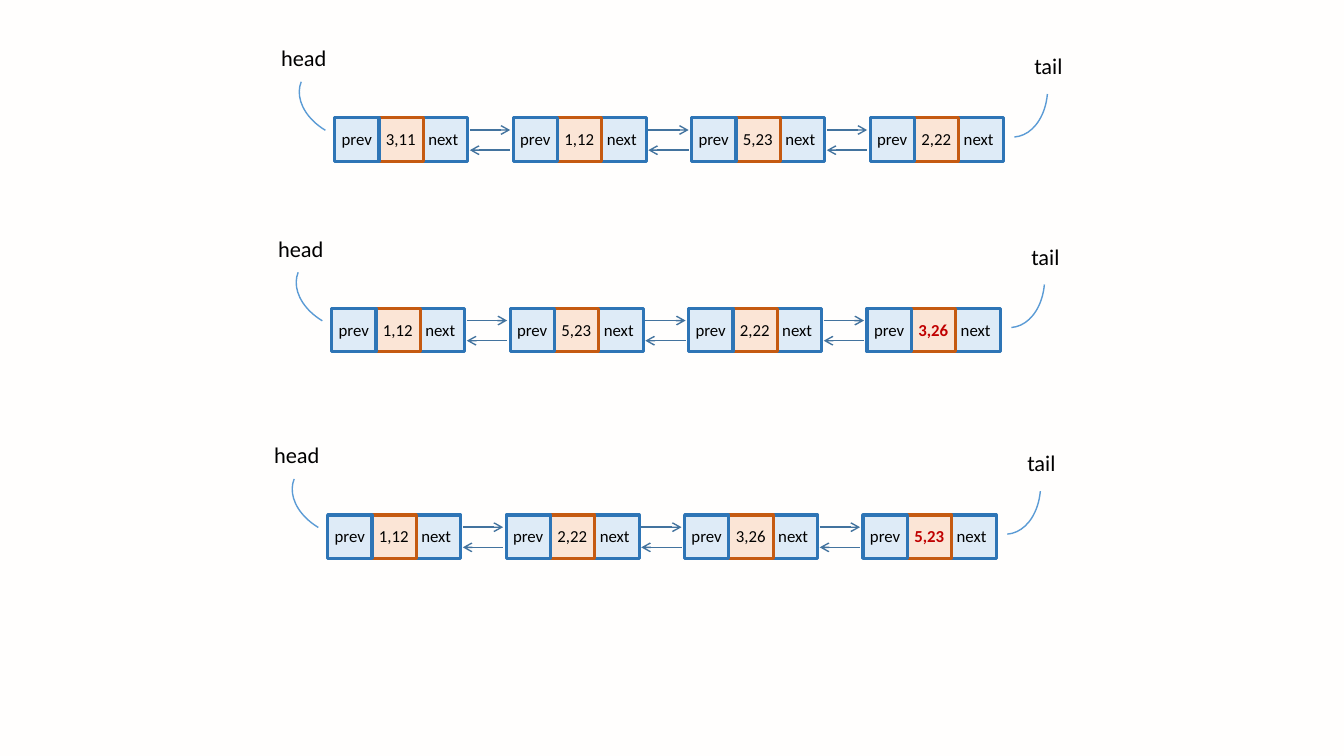
import dataclasses

import pptx
import pptx.dml.color
import pptx.enum.shapes
import pptx.enum.text
import pptx.oxml
import pptx.oxml.ns
import pptx.util

Inches = pptx.util.Inches
Pt = pptx.util.Pt
SHAPE = pptx.enum.shapes.MSO_SHAPE


@dataclasses.dataclass(frozen=True)
class Theme:
    font: str = "Calibri"
    paper: str = "FFFEFD"
    ink: str = "000000"
    mark: str = "C00000"
    link_fill: str = "DEEBF7"
    link_edge: str = "2E75B6"
    data_fill: str = "FBE5D6"
    data_edge: str = "C55A11"
    arrow: str = "43739E"
    curve: str = "5B9BD5"
    cell_size: float = 12
    end_size: float = 16
    edge: float = 2.25
    thin: float = 1


@dataclasses.dataclass(frozen=True)
class Chain:
    left: float
    top: float
    values: tuple[str, ...]
    fresh: str = ""


@dataclasses.dataclass(frozen=True)
class End:
    """Label and curve at one end of a chain, set off from its corner."""
    text: str
    left: float
    top: float
    width: float
    arc_left: float
    arc_top: float
    turn: float


THEME = Theme()
CELL = 0.44  # cell width
TALL = 0.43  # cell height
STEP = 1.77  # from node to node
CHAINS = (
    Chain(3.32, 1.17, ("3,11", "1,12", "5,23", "2,22")),
    Chain(3.29, 3.06, ("1,12", "5,23", "2,22", "3,26"), "3,26"),
    Chain(3.25, 5.11, ("1,12", "2,22", "3,26", "5,23"), "5,23"),
)
ENDS = (
    End("head", -0.63, -0.78, 0.69, -0.22, -0.68, 292),
    End("tail", 6.84, -0.7, 0.49, 6.34, -0.84, 176),
)


def shade(code: str) -> pptx.dml.color.RGBColor:
    return pptx.dml.color.RGBColor.from_string(code)


def add_text(slide, text: str, left: float, top: float, width: float,
             height: float, size: float, wrap: bool, fresh: bool = False) -> None:
    box = slide.shapes.add_textbox(*map(Inches, (left, top, width, height)))
    frame = box.text_frame
    frame.text = text
    frame.word_wrap = wrap
    frame.auto_size = pptx.enum.text.MSO_AUTO_SIZE.SHAPE_TO_FIT_TEXT
    font = frame.paragraphs[0].runs[0].font
    font.name = THEME.font
    font.size = Pt(size)
    font.color.rgb = shade(THEME.mark if fresh else THEME.ink)
    if fresh:
        font.bold = True


def add_cell(slide, left: float, top: float, fill: str, edge: str) -> None:
    cell = slide.shapes.add_shape(
        SHAPE.RECTANGLE, *map(Inches, (left, top, CELL, TALL)))
    cell.shadow.inherit = False
    cell.fill.solid()
    cell.fill.fore_color.rgb = shade(fill)
    cell.line.color.rgb = shade(edge)
    cell.line.width = Pt(THEME.edge)


def add_node(slide, left: float, top: float, value: str, fresh: bool) -> None:
    link = (THEME.link_fill, THEME.link_edge)
    data = (THEME.data_fill, THEME.data_edge)
    # The left cells lie over the right ones
    for spot, look in ((2, link), (1, data), (0, link)):
        add_cell(slide, left + spot * CELL, top, *look)
    for text, shift in (("prev", -0.03), (value, 0.41), ("next", 0.83)):
        add_text(slide, text, left + shift, top + 0.06, 0.61, 0.3,
                 THEME.cell_size, True, fresh and text == value)


def add_arrow(slide, left: float, top: float, tip: str) -> None:
    arrow = slide.shapes.add_connector(
        pptx.enum.shapes.MSO_CONNECTOR.STRAIGHT,
        *map(Inches, (left, top, left + 0.4, top)))
    arrow.line.color.rgb = shade(THEME.arrow)
    arrow.line.width = Pt(THEME.thin)
    head = pptx.oxml.parse_xml(
        f'<a:{tip} {pptx.oxml.ns.nsdecls("a")} type="arrow"/>')
    arrow.line._get_or_add_ln().append(head)
    arrow.element.spPr.append(pptx.oxml.parse_xml(
        f'<a:effectLst {pptx.oxml.ns.nsdecls("a")}/>'))


def add_end(slide, chain: Chain, end: End) -> None:
    arc = slide.shapes.add_shape(SHAPE.ARC, *map(Inches, (
        chain.left + end.arc_left, chain.top + end.arc_top, 0.73, 1.03)))
    arc.shadow.inherit = False
    arc.adjustments[0] = 162
    arc.adjustments[1] = 205.48
    arc.rotation = end.turn
    arc.element.spPr.xfrm.set("flipH", "1")
    arc.fill.background()
    arc.line.color.rgb = shade(THEME.curve)
    arc.line.width = Pt(THEME.thin)
    add_text(slide, end.text, chain.left + end.left, chain.top + end.top,
             end.width, 0.37, THEME.end_size, False)


def add_chain(slide, chain: Chain) -> None:
    for spot, value in enumerate(chain.values):
        left = chain.left + spot * STEP
        add_node(slide, left, chain.top, value, value == chain.fresh)
        # A pair of arrows joins each node to the one before
        if spot:
            add_arrow(slide, left - 0.43, chain.top + 0.12, "tailEnd")
            add_arrow(slide, left - 0.43, chain.top + 0.32, "headEnd")
    for end in ENDS:
        add_end(slide, chain, end)


def main() -> None:
    deck = pptx.Presentation()
    deck.slide_width = Inches(13.33)
    deck.slide_height = Inches(7.5)
    slide = deck.slides.add_slide(deck.slide_layouts[6])
    # Paper tint
    slide.background.fill.solid()
    slide.background.fill.fore_color.rgb = shade(THEME.paper)
    # Linked lists, one per row
    for chain in CHAINS:
        add_chain(slide, chain)
    deck.save("out.pptx")


if __name__ == "__main__":
    main()
